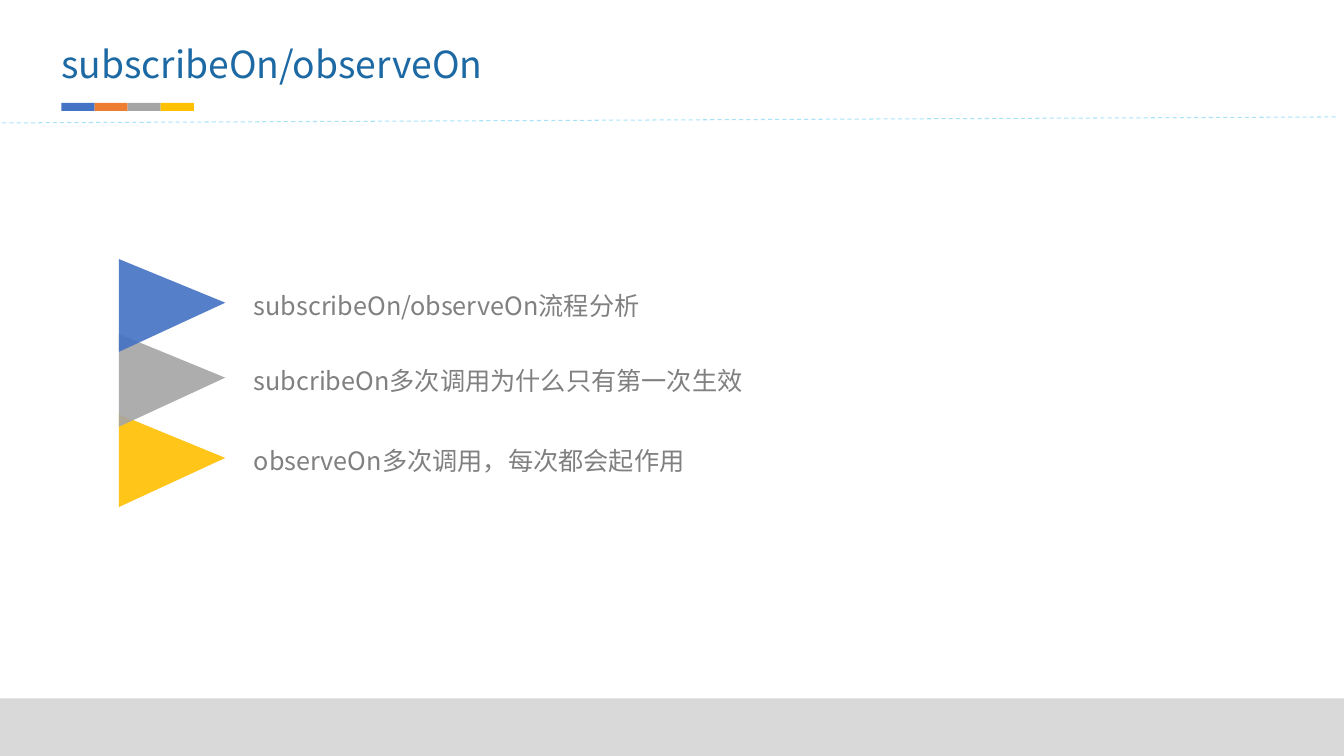
from dataclasses import dataclass

from lxml import etree
from pptx import Presentation
from pptx.dml.color import RGBColor
from pptx.enum.dml import MSO_LINE
from pptx.enum.shapes import MSO_CONNECTOR, MSO_SHAPE
from pptx.enum.text import MSO_ANCHOR, MSO_AUTO_SIZE
from pptx.oxml.ns import qn
from pptx.util import Inches, Pt

RECT = MSO_SHAPE.RECTANGLE
STRAIGHT = MSO_CONNECTOR.STRAIGHT
DASH = MSO_LINE.DASH
TOP, MIDDLE = MSO_ANCHOR.TOP, MSO_ANCHOR.MIDDLE
GROW, FIXED = MSO_AUTO_SIZE.SHAPE_TO_FIT_TEXT, MSO_AUTO_SIZE.NONE

FONT = "Noto Sans CJK SC"
COLORS = {
    "band": "D9D9D9", "title": "1D69A3", "text": "808080", "rule": "00B0F0",
    "blue": "4472C4", "orange": "ED7D31", "gray": "A5A5A5", "gold": "FFC000",
}

# Grid of 160 columns by 90 rows
COLS, ROWS = 160, 90
SLIDE_W, SLIDE_H = Inches(13.33), Inches(7.5)


@dataclass
class Box:
    col: float
    row: float
    cols: float
    rows: float

    def emu(self) -> tuple[int, int, int, int]:
        return x(self.col), y(self.row), x(self.cols), y(self.rows)


@dataclass
class Topic:
    row: float
    color: str
    text: str


SWATCHES = ["blue", "orange", "gray", "gold"]
SWATCH = Box(7.32, 12.24, 3.94, 0.96)
TRIANGLE = Box(14.16, 0, 12.66, 11.04)
TIP_ROW = 5.2
LABEL = Box(29.04, 2.84, 70.58, 5.4)  # row counted from the triangle's top
TOPICS = [
    Topic(30.84, "blue", "subscribeOn/observeOn流程分析"),
    Topic(39.76, "gray", "subcribeOn多次调用为什么只有第一次生效"),
    Topic(49.32, "gold", "observeOn多次调用，每次都会起作用"),
]


def x(cols: float) -> int:
    return round(SLIDE_W * cols / COLS)


def y(rows: float) -> int:
    return round(SLIDE_H * rows / ROWS)


def rgb(name: str) -> RGBColor:
    return RGBColor.from_string(COLORS[name])


def set_alpha(sp, percent: int) -> None:
    clr = next(sp._element.spPr.iter(qn("a:srgbClr")))
    etree.SubElement(clr, qn("a:alpha"), val=str(percent * 1000))


def paint(sp, color: str) -> None:
    sp.shadow.inherit = False
    sp.fill.solid()
    sp.fill.fore_color.rgb = rgb(color)
    sp.line.fill.background()


def add_rect(shapes, box: Box, color: str) -> None:
    paint(shapes.add_shape(RECT, *box.emu()), color)


def add_text(shapes, box: Box, text: str, size: float, color: str,
             anchor=MIDDLE, fit=FIXED):
    tf = shapes.add_textbox(*box.emu()).text_frame
    tf.word_wrap = True
    tf.auto_size = fit
    tf.vertical_anchor = anchor
    p = tf.paragraphs[0]
    p.text = text
    p.font.size = Pt(size)
    p.font.name = FONT
    p.font.color.rgb = rgb(color)
    latin = next(p._p.iter(qn("a:latin")))
    latin.addnext(latin.makeelement(qn("a:ea"), {"typeface": FONT}))
    return tf


def add_triangle(shapes, row: float, color: str) -> None:
    left, bottom = x(TRIANGLE.col), y(row + TRIANGLE.rows)
    builder = shapes.build_freeform(left, bottom)
    builder.add_line_segments([
        (left, y(row)),
        (x(TRIANGLE.col + TRIANGLE.cols), y(row + TIP_ROW)),
    ], close=True)
    sp = builder.convert_to_shape()
    paint(sp, color)
    set_alpha(sp, 90)


def add_rule(shapes) -> None:
    ln = shapes.add_connector(STRAIGHT, x(-0.6), y(14.64), x(159.4), y(13.92))
    ln.line.color.rgb = rgb("rule")
    ln.line.width = Pt(0.75)
    ln.line.dash_style = DASH
    set_alpha(ln, 34)
    etree.SubElement(ln._element.spPr, qn("a:effectLst"))


def main() -> None:
    prs = Presentation()
    prs.slide_width, prs.slide_height = SLIDE_W, SLIDE_H
    shapes = prs.slides.add_slide(prs.slide_layouts[6]).shapes

    # Footer band
    add_rect(shapes, Box(0, 83.16, COLS, 6.84), "band")

    # Title with its colour strip and dashed rule
    strip = shapes.add_group_shape().shapes
    for i, color in enumerate(SWATCHES):
        col = SWATCH.col + i * SWATCH.cols
        add_rect(strip, Box(col, SWATCH.row, SWATCH.cols, SWATCH.rows), color)
    tf = add_text(shapes, Box(7.32, 4.92, 109.8, 5.4), "subscribeOn/observeOn",
                  26.6, "title", TOP, GROW)
    tf.margin_left = tf.margin_top = tf.margin_right = tf.margin_bottom = 0
    add_rule(shapes)

    # Topics, from the bottom up so that upper triangles overlap lower ones
    for t in reversed(TOPICS):
        box = Box(LABEL.col, t.row + LABEL.row, LABEL.cols, LABEL.rows)
        add_text(shapes, box, t.text, 18, "text")
        add_triangle(shapes, t.row, t.color)

    prs.save("out.pptx")


if __name__ == "__main__":
    main()
